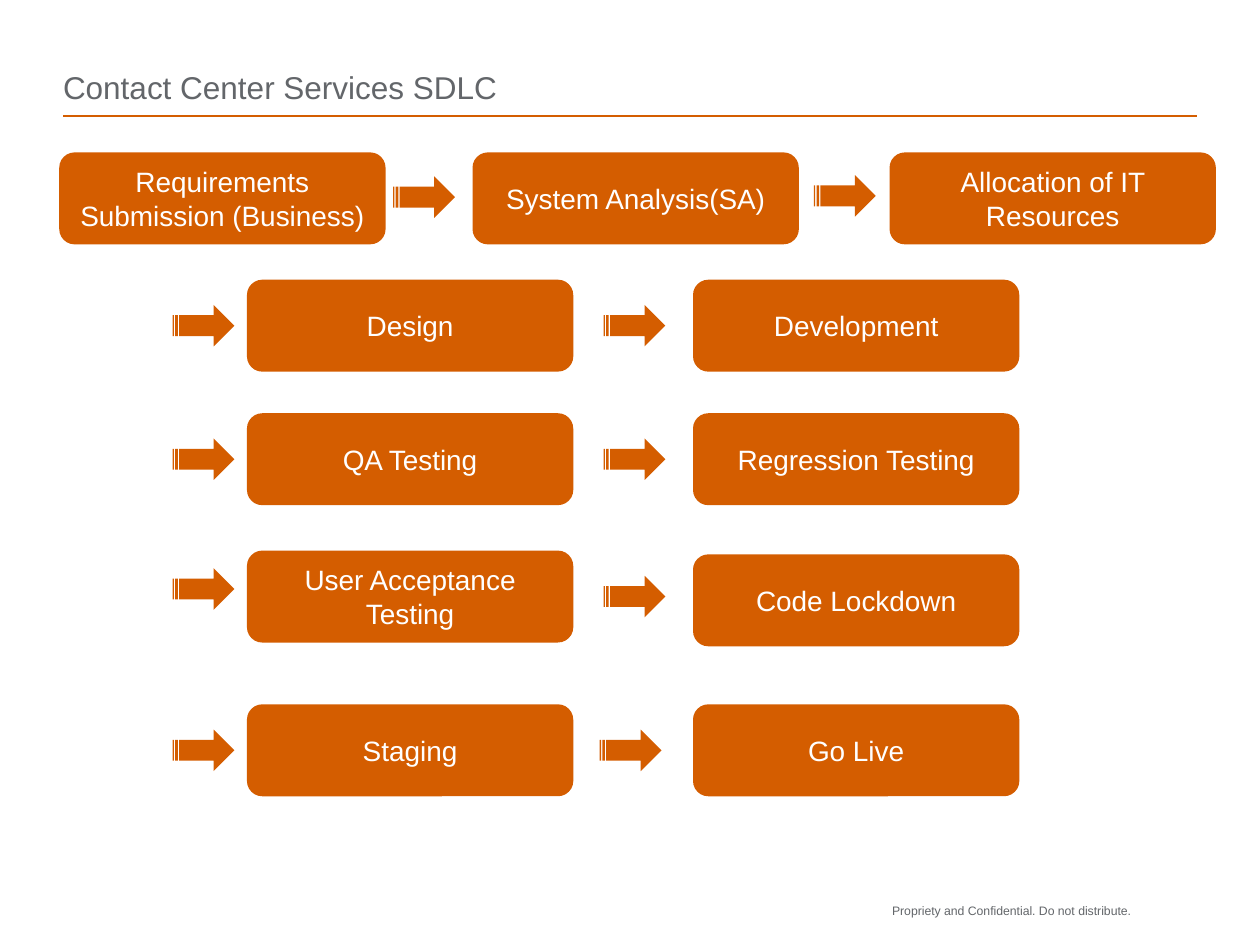
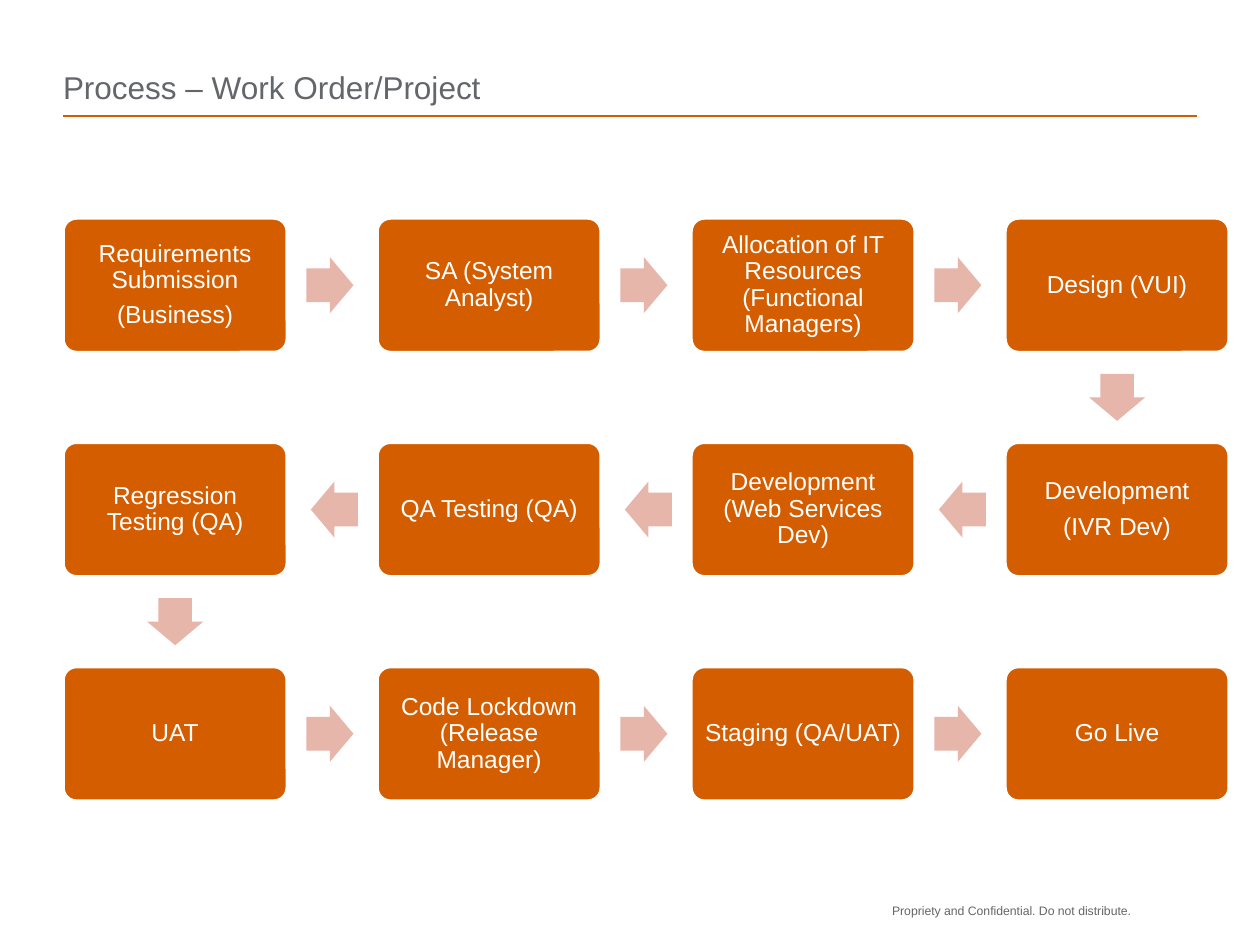
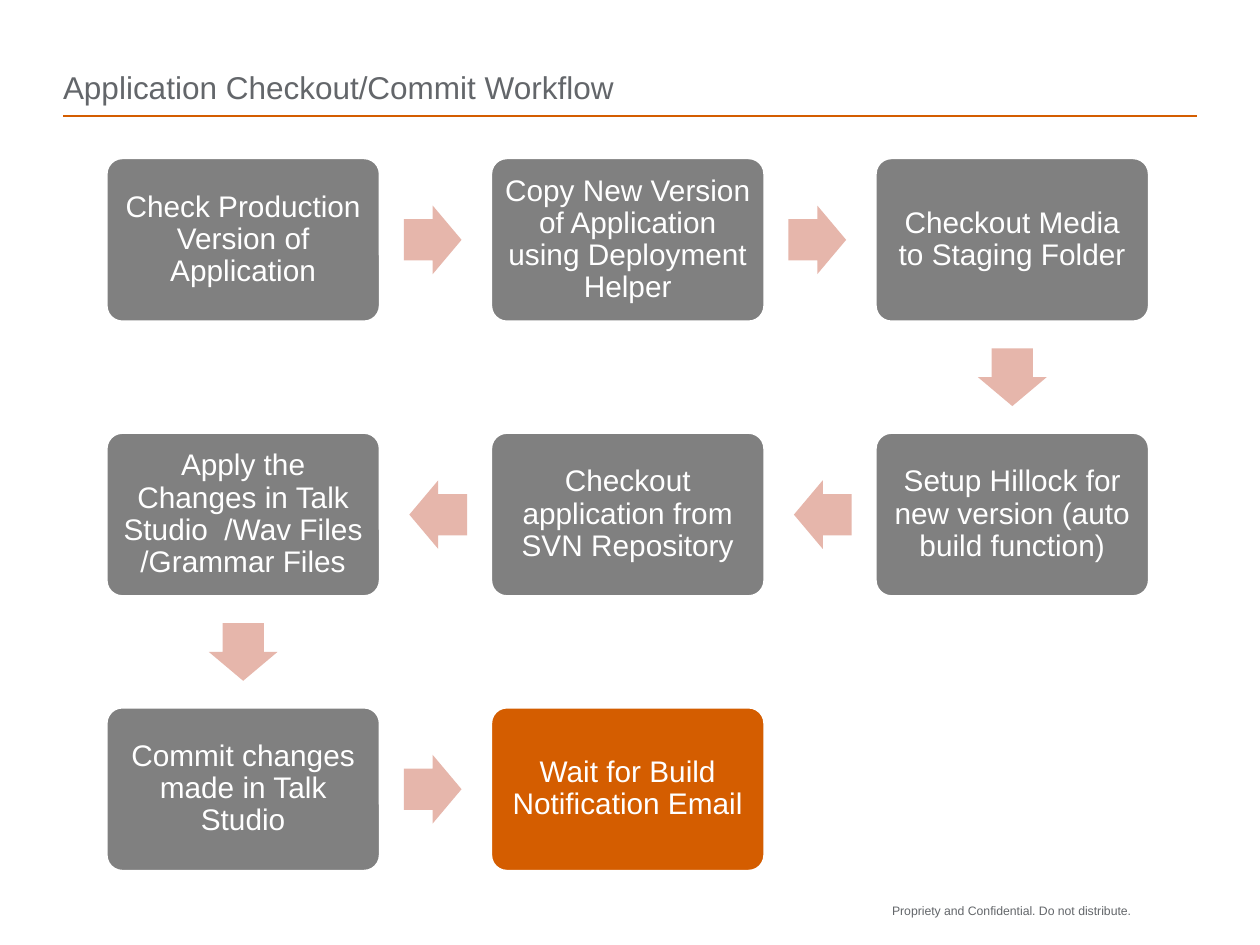
from dataclasses import dataclass

from lxml import etree
from pptx import Presentation
from pptx.dml.color import RGBColor
from pptx.enum import shapes, text
from pptx.oxml.ns import qn
from pptx.util import Inches, Pt


@dataclass(frozen=True)
class Theme:
    font: str = "Arial"
    orange: str = "D45D00"
    gray: str = "808080"
    pink: str = "E6B6AB"
    ink: str = "63666A"
    white: str = "FFFFFF"
    title_size: int = 18
    footer_size: int = 7
    sdlc_size: int = 16
    process_size: int = 14
    commit_size: int = 17


T = Theme()
SHAPE = shapes.MSO_SHAPE
FOOTER = "Propriety and Confidential. Do not distribute."

# SDLC slide: text, box left, box top
SDLC_STEPS = [
    ("Requirements Submission (Business)", 0.47, 1.21),
    ("System Analysis(SA)", 3.75, 1.21),
    ("Allocation of IT Resources", 7.06, 1.21),
    ("Design", 1.96, 2.22),
    ("Development", 5.5, 2.22),
    ("QA Testing", 1.96, 3.28),
    ("Regression Testing", 5.5, 3.28),
    ("User Acceptance Testing", 1.96, 4.37),
    ("Code Lockdown", 5.5, 4.4),
    ("Staging", 1.96, 5.59),
    ("Go Live", 5.5, 5.59),
]
SDLC_ARROWS = [
    (3.12, 1.4), (6.46, 1.39),
    (1.37, 2.42), (4.79, 2.42),
    (1.37, 3.48), (4.79, 3.48),
    (1.37, 4.51), (4.79, 4.57),
    (1.37, 5.79), (4.76, 5.79),
]
PROCESS_STEPS = [
    "Requirements Submission\n(Business)",
    "SA (System Analyst)",
    "Allocation of IT Resources (Functional Managers)",
    "Design (VUI)",
    "Development\n(IVR Dev)",
    "Development (Web Services Dev)",
    "QA Testing (QA)",
    "Regression Testing (QA)",
    "UAT",
    "Code Lockdown (Release Manager)",
    "Staging (QA/UAT)",
    "Go Live",
]
COMMIT_STEPS = [
    "Check Production Version of Application",
    "Copy New Version of Application using Deployment Helper",
    "Checkout Media to Staging Folder",
    "Setup Hillock for new version (auto build function)",
    "Checkout application from SVN Repository",
    "Apply the Changes in Talk Studio  /Wav Files /Grammar Files",
    "Commit changes made in Talk Studio",
    "Wait for Build Notification Email",
]


def rgb(color):
    return RGBColor.from_string(color)


def set_font(p, size, color):
    p.font.name = T.font
    p.font.size = Pt(size)
    p.font.color.rgb = rgb(color)


def set_insets(tf, inset):
    tf.margin_left = tf.margin_right = tf.margin_top = tf.margin_bottom = Inches(inset)


def add_filled(s, kind, left, top, width, height, fill):
    sp = s.shapes.add_shape(kind, Inches(left), Inches(top), Inches(width), Inches(height))
    sp.shadow.inherit = False
    sp.fill.solid()
    sp.fill.fore_color.rgb = rgb(fill)
    sp.line.fill.background()
    return sp


def add_box(s, label, left, top, width, height, fill, size, inset):
    sp = add_filled(s, SHAPE.ROUNDED_RECTANGLE, left, top, width, height, fill)
    tf = sp.text_frame
    tf.text = label
    tf.word_wrap = True
    tf.vertical_anchor = text.MSO_ANCHOR.MIDDLE
    set_insets(tf, inset)
    for p in tf.paragraphs:
        p.alignment = text.PP_ALIGN.CENTER
        set_font(p, size, T.white)
    return sp


def add_footer(s):
    tf = s.shapes.add_textbox(Inches(7.08), Inches(7.17), Inches(2.08), Inches(0.25)).text_frame
    tf.text = FOOTER
    tf.word_wrap = False
    set_insets(tf, 0)
    set_font(tf.paragraphs[0], T.footer_size, T.ink)


def add_title_rule(s):
    rule = s.shapes.add_connector(shapes.MSO_CONNECTOR.STRAIGHT,
                                  Inches(0.5), Inches(0.92), Inches(9.5), Inches(0.92))
    rule.line.color.rgb = rgb(T.orange)
    rule.line.width = Pt(1)
    etree.SubElement(rule._element.spPr, qn("a:effectLst"))


def add_slide(prs, title):
    s = prs.slides.add_slide(prs.slide_layouts.get_by_name("Title Only"))
    sp = s.shapes.title
    sp.left, sp.top, sp.width, sp.height = Inches(0.5), Inches(0.17), Inches(9), Inches(0.67)
    tf = sp.text_frame
    tf.text = title
    tf.auto_size = text.MSO_AUTO_SIZE.NONE
    tf.vertical_anchor = text.MSO_ANCHOR.BOTTOM
    set_insets(tf, 0)
    p = tf.paragraphs[0]
    p.alignment = text.PP_ALIGN.LEFT
    set_font(p, T.title_size, T.ink)
    add_title_rule(s)
    add_footer(s)
    return s


def add_flow_arrow(s, center_x, center_y, box_w, rotation):
    width, height = 0.21 * box_w, 0.25 * box_w
    sp = add_filled(s, SHAPE.RIGHT_ARROW, center_x - width / 2, center_y - height / 2,
                    width, height, T.pink)
    sp.adjustments[0] = 0.6
    sp.rotation = rotation


def add_snake(s, steps, columns, left, top, box_w, size, inset, fills):
    """Lay steps out in rows of alternating direction; all gaps scale with box_w."""
    box_h = 0.6 * box_w
    for i, (label, fill) in enumerate(zip(steps, fills)):
        row, place = divmod(i, columns)
        backward = row % 2 == 1
        column = columns - 1 - place if backward else place
        x, y = left + 1.4 * box_w * column, top + box_w * row
        sp = add_box(s, label, x, y, box_w, box_h, fill, size, inset)
        sp.adjustments[0] = 0.1
        sp.line.color.rgb = rgb(T.white)
        sp.line.width = Pt(2)
        for p in sp.text_frame.paragraphs:
            p.line_spacing = 0.9
            p.space_after = Pt(0.35 * size)
        if i == len(steps) - 1:
            break
        mid_x, mid_y = x + box_w / 2, y + box_h / 2
        if place == columns - 1:
            add_flow_arrow(s, mid_x, y + 0.8 * box_w, box_w, 90)
        elif backward:
            add_flow_arrow(s, mid_x - 0.69 * box_w, mid_y, box_w, 180)
        else:
            add_flow_arrow(s, mid_x + 0.69 * box_w, mid_y, box_w, 0)


def build_sdlc(prs):
    s = add_slide(prs, "Contact Center Services SDLC")
    for label, left, top in SDLC_STEPS:
        add_box(s, label, left, top, 2.59, 0.73, T.orange, T.sdlc_size, 0.05)
    for left, top in SDLC_ARROWS:
        add_filled(s, SHAPE.STRIPED_RIGHT_ARROW, left, top, 0.49, 0.33, T.orange)


def build_process(prs):
    s = add_slide(prs, "Process – Work Order/Project")
    add_snake(s, PROCESS_STEPS, 4, 0.5, 1.73, 1.78, T.process_size, 0.06,
              [T.orange] * len(PROCESS_STEPS))


def build_commit(prs):
    s = add_slide(prs, "Application Checkout/Commit Workflow")
    add_snake(s, COMMIT_STEPS, 3, 0.84, 1.25, 2.18, T.commit_size, 0.07,
              [T.gray] * (len(COMMIT_STEPS) - 1) + [T.orange])


def main():
    prs = Presentation()
    prs.slide_width, prs.slide_height = Inches(10), Inches(7.5)
    build_sdlc(prs)
    build_process(prs)
    build_commit(prs)
    prs.save("out.pptx")


if __name__ == "__main__":
    main()
